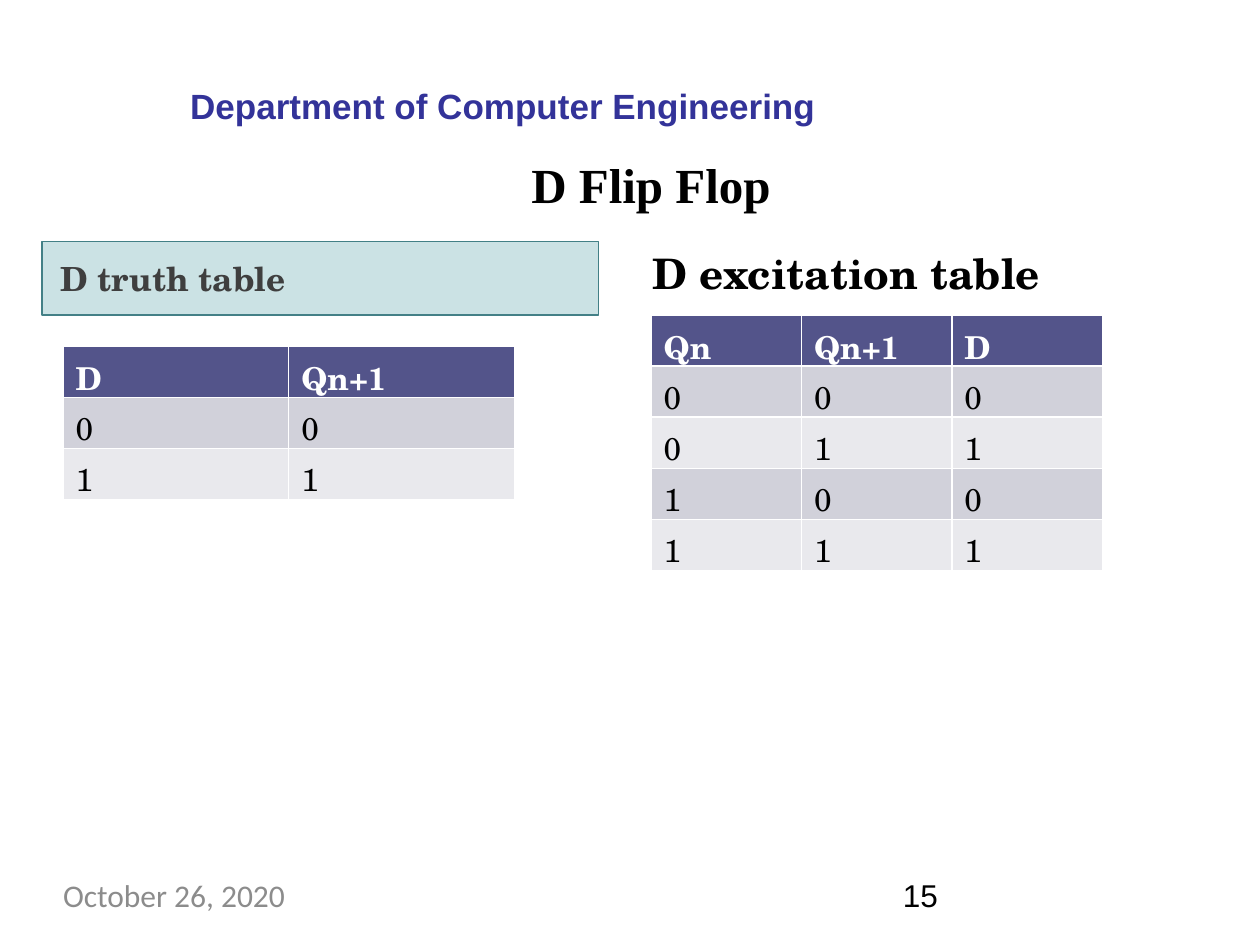
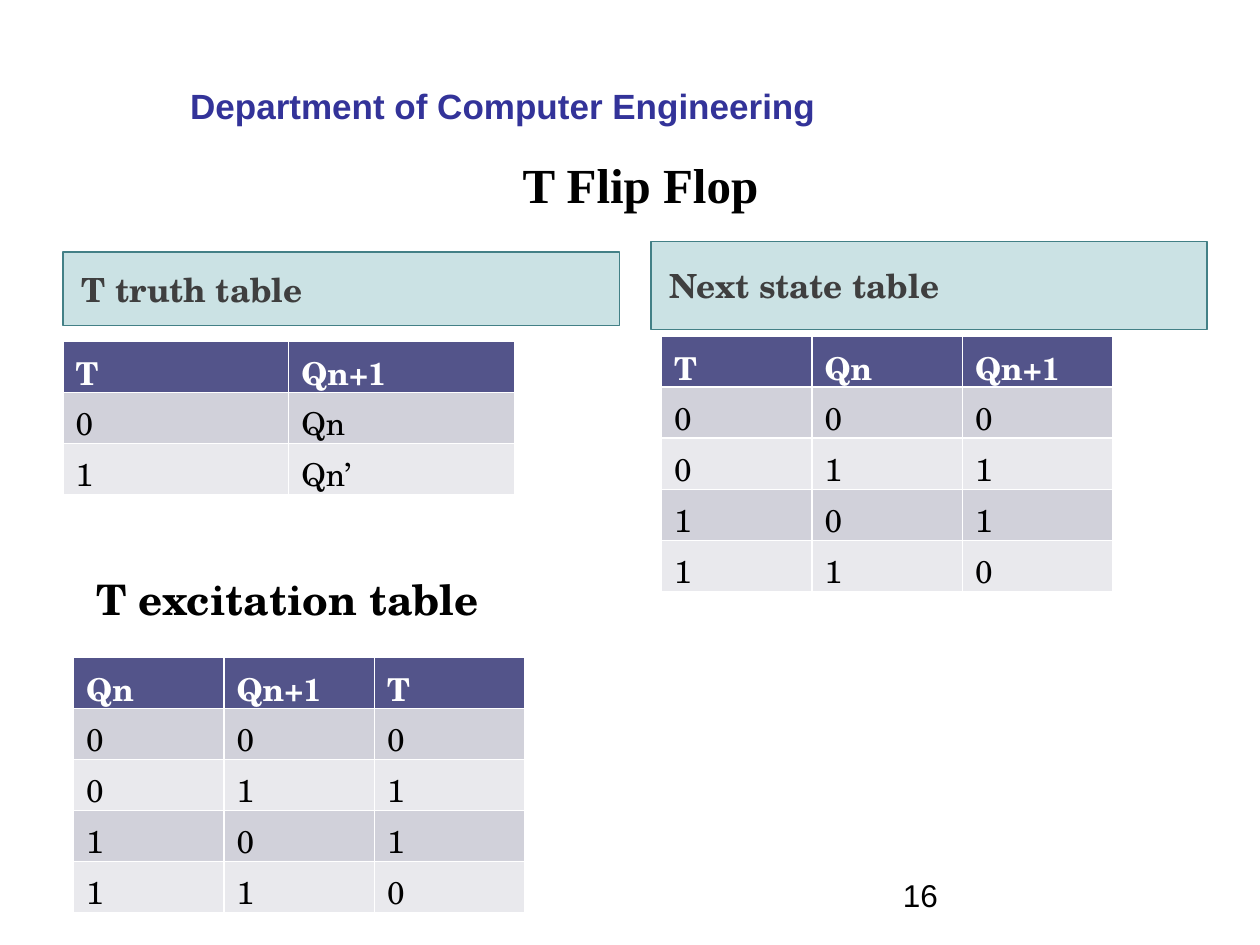
"""Builds two slides with the truth and excitation tables of the D and T flip flops."""
from lxml import etree
from pptx import Presentation, util as u
from pptx.dml import color
from pptx.enum import shapes, text
from pptx.oxml import ns

COLOURS = {
    "heading": "333399", "ink": "000000", "muted": "8C8C8C", "label": "3F3F3F",
    "teal": "328E97", "edge": "438086", "header": "53548A", "white": "FFFFFF",
    "odd": "D1D1DA", "even": "E9E9ED",
}
SERIF = "TeX Gyre Schola"
STYLES = {
    "heading": {"name": "Arial", "size": u.Pt(20), "bold": True, "colour": "heading"},
    "title": {"name": "Times New Roman", "size": u.Pt(28), "bold": True, "colour": "ink"},
    "label": {"name": SERIF, "size": u.Pt(19), "bold": True, "colour": "label"},
    "caption": {"name": SERIF, "size": u.Pt(24), "bold": True, "colour": "ink"},
    "header": {"name": SERIF, "size": u.Pt(18), "bold": True, "colour": "white"},
    "cell": {"name": SERIF, "size": u.Pt(18), "bold": False, "colour": "ink"},
    "date": {"name": "Calibri", "size": u.Pt(18), "bold": False, "colour": "muted"},
    "number": {"name": "Arial", "size": u.Pt(18), "bold": False, "colour": "ink"},
}
COLUMNS, ROWS = 120, 90
TABLE_WIDTH, ROW_HEIGHT = 43, 4.87


def rgb(name):
    return color.RGBColor.from_string(COLOURS[name])


class Deck:
    def __init__(self):
        self.presentation = Presentation()
        self.presentation.slide_width = u.Inches(10)
        self.presentation.slide_height = u.Inches(7.5)
        self.slide = None

    def place(self, left, top, width, height):
        column = self.presentation.slide_width / COLUMNS
        row = self.presentation.slide_height / ROWS
        return [round(n * unit) for n, unit in
                zip((left, top, width, height), (column, row, column, row))]

    def add_words(self, frame, words, style, indent=0, **formats):
        paragraph = frame.paragraphs[0]
        for key, value in formats.items():
            setattr(paragraph, key, value)
        if indent:
            paragraph._p.get_or_add_pPr().set("marL", str(u.Inches(indent)))
        run = paragraph.add_run()
        run.text = words
        for key, value in STYLES[style].items():
            if key == "colour":
                run.font.color.rgb = rgb(value)
            else:
                setattr(run.font, key, value)

    def textbox(self, words, style, place, margins=None, frame_formats=None, **formats):
        frame = self.slide.shapes.add_textbox(*self.place(*place)).text_frame
        settings = {"word_wrap": True, "auto_size": text.MSO_AUTO_SIZE.SHAPE_TO_FIT_TEXT}
        for side in ("left", "top", "right", "bottom") if margins == 0 else ():
            settings["margin_" + side] = 0
        for key, value in {**settings, **(frame_formats or {})}.items():
            setattr(frame, key, value)
        self.add_words(frame, words, style, **formats)

    def page(self, title, number, title_left):
        self.slide = self.presentation.slides.add_slide(self.presentation.slide_layouts[6])
        self.textbox("Department of Computer Engineering", "heading", (18, 7.92, 60, 4.3),
                     margins=0, frame_formats={"margin_top": u.Inches(0.01)},
                     indent=0.01, space_before=u.Pt(1))
        self.textbox(title, "title", (title_left, 14, 110, 7.1),
                     frame_formats={"auto_size": text.MSO_AUTO_SIZE.NONE,
                                    "vertical_anchor": text.MSO_ANCHOR.MIDDLE},
                     alignment=text.PP_ALIGN.CENTER)
        self.footer(number, "number", 86)

    def footer(self, words, style, left):
        self.textbox(words, style, (left, 83.4, 28, 4.8), margins=0)

    def caption(self, words, left, top):
        self.textbox(words, "caption", (left, top, 51, 10.8))

    def label(self, words, left, top, height=7):
        shape = self.slide.shapes.add_shape(
            shapes.MSO_SHAPE.RECTANGLE, *self.place(left, top, 53, height))
        shape.shadow.inherit = False
        shape.fill.solid()
        shape.fill.fore_color.rgb = rgb("teal")
        fill = shape._element.spPr.find(ns.qn("a:solidFill"))
        etree.SubElement(fill[0], ns.qn("a:alpha"), val="25000")
        shape.line.color.rgb = rgb("edge")
        shape.line.width = u.Pt(1)
        shape.text_frame.vertical_anchor = text.MSO_ANCHOR.MIDDLE
        self.add_words(shape.text_frame, words, "label", indent=0.05,
                       space_before=u.Pt(3), alignment=text.PP_ALIGN.LEFT)

    def table(self, left, top, lines, bottom=0.0):
        rows = [line.split() for line in lines]
        place = self.place(left, top, TABLE_WIDTH, ROW_HEIGHT * len(rows))
        table = self.slide.shapes.add_table(len(rows), len(rows[0]), *place).table
        margins = {"margin_left": 0.1, "margin_top": 0.06,
                   "margin_right": 0.1, "margin_bottom": bottom}
        for i, row in enumerate(rows):
            band = "header" if i == 0 else ("even", "odd")[i % 2]
            for j, words in enumerate(row):
                cell = table.cell(i, j)
                cell.fill.solid()
                cell.fill.fore_color.rgb = rgb(band)
                for key, value in margins.items():
                    setattr(cell, key, u.Inches(value))
                self.add_words(cell.text_frame, words, "cell" if i else "header",
                               line_spacing=0.97)


def main():
    deck = Deck()

    deck.page("D Flip Flop", "15", title_left=7)
    deck.footer("October 26, 2020", "date", 6)
    deck.label("D truth table", 4, 23)
    deck.table(6, 33, ["D Qn+1", "0 0", "1 1"], bottom=0.05)
    deck.caption("D excitation table", 61, 23)
    deck.table(62, 30, ["Qn Qn+1 D", "0 0 0", "0 1 1", "1 0 0", "1 1 1"])

    deck.page("T Flip Flop", "16", title_left=6)
    deck.label("T truth table", 6, 24)
    deck.label("Next state table", 62, 23, height=8.4)
    deck.table(6, 32.5, ["T Qn+1", "0 Qn", "1 Qn’"], bottom=0.05)
    deck.table(63, 32, ["T Qn Qn+1", "0 0 0", "0 1 1", "1 0 1", "1 1 0"])
    deck.caption("T excitation table", 8, 54)
    deck.table(7, 62.6, ["Qn Qn+1 T", "0 0 0", "0 1 1", "1 0 1", "1 1 0"])

    deck.presentation.save("out.pptx")


main()
